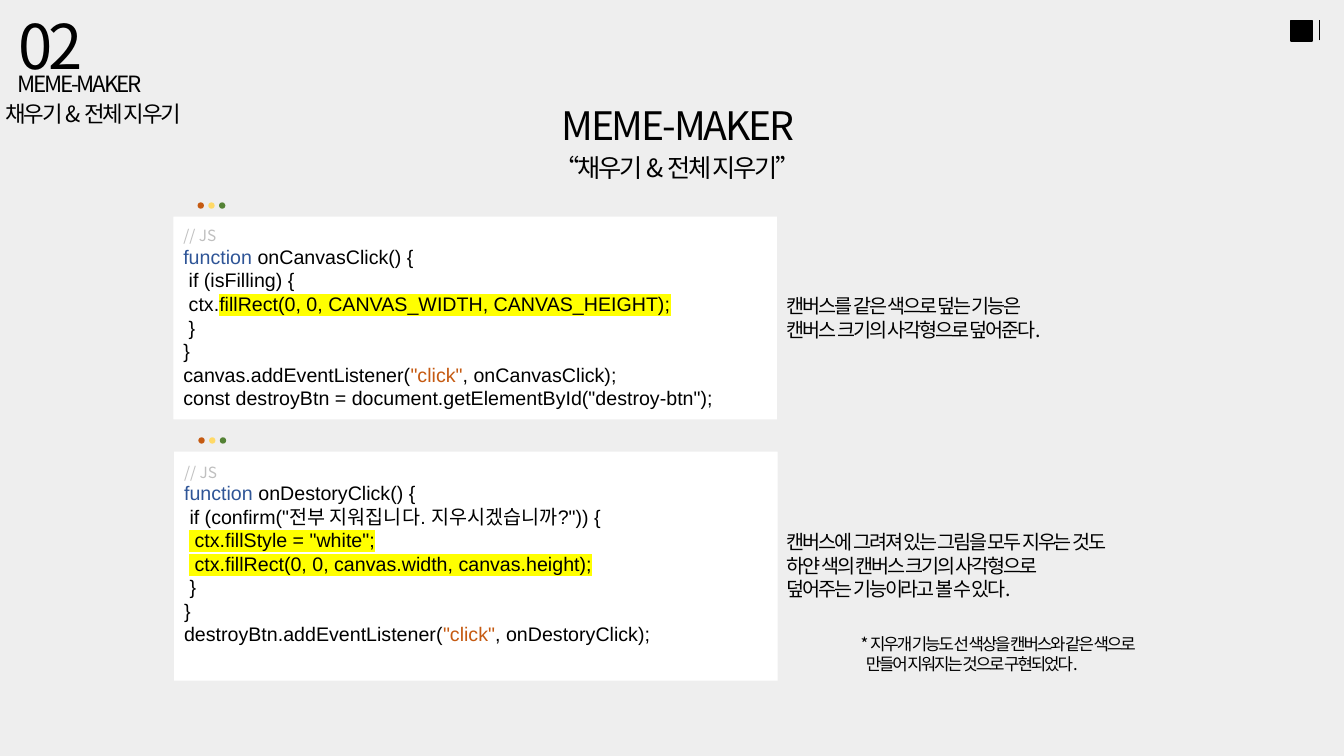
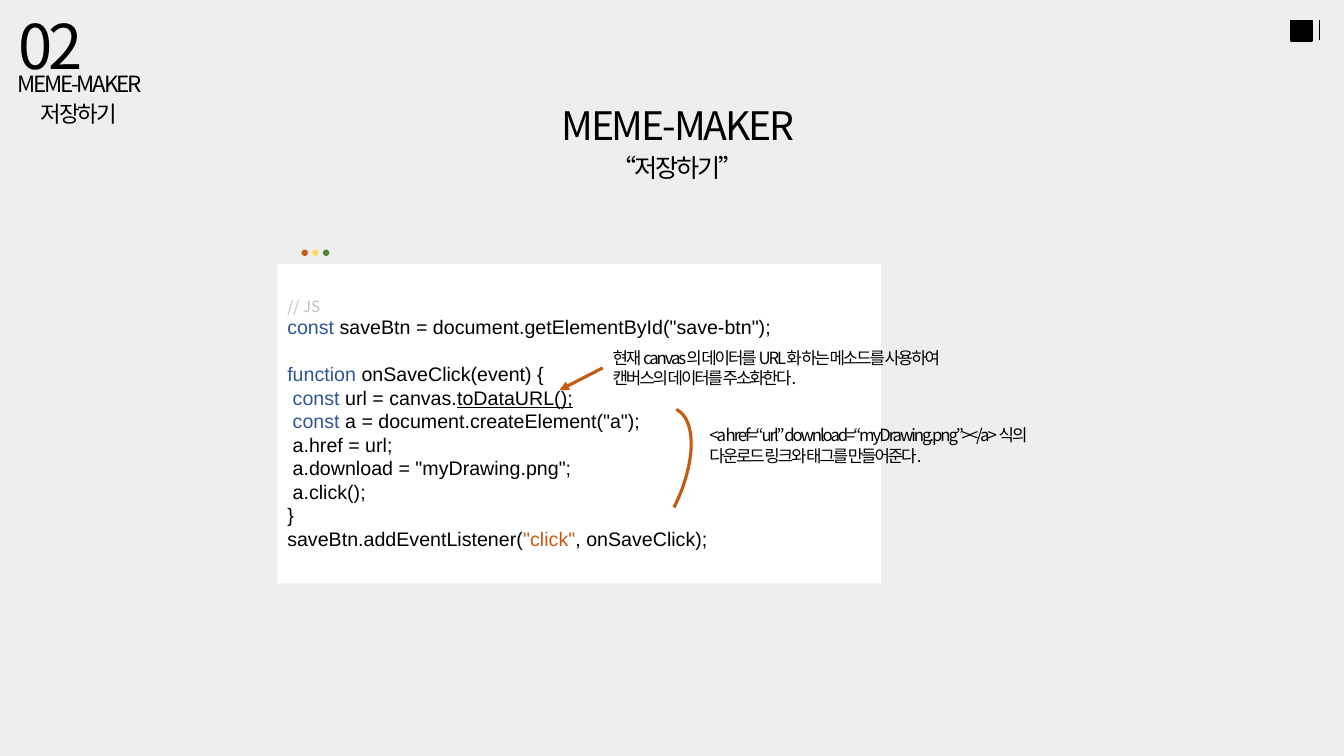
import pptx
import pptx.util
import pptx.dml.color
import pptx.enum.shapes
import pptx.enum.text
import pptx.oxml.ns
import lxml.etree
from dataclasses import dataclass

Cm, Pt = pptx.util.Cm, pptx.util.Pt
Shape = pptx.enum.shapes.MSO_SHAPE
Align = pptx.enum.text.PP_ALIGN
Anchor = pptx.enum.text.MSO_ANCHOR


@dataclass(frozen=True)
class Theme:
    back: str = "EEEEEE"
    ink: str = "000000"
    card: str = "FFFFFF"
    gray: str = "BFBFBF"
    blue: str = "2F5597"
    rust: str = "C55A11"
    gold: str = "FFD966"
    green: str = "548235"
    mark: str = "FFFF00"
    sans: str = "Noto Sans CJK KR"
    mono: str = "Arial"
    number: int = 44
    title: int = 28
    lead: int = 20
    sub: int = 18
    head: int = 16
    code: int = 14
    small: int = 12
    tag: int = 11
    tight: float = -1.5
    line: float = 1.2       # line height of body text, in ems
    tall: float = 1.28      # line height of headings, in ems


T = Theme()

# Content: a code line is a list of (text, style) runs
TITLE = "MEME-MAKER"
JS = [("// JS", "tag")]
CLICK = ('"click"', "str")

SLIDES = [
    {
        "name": "채우기 & 전체 지우기", "shift": 0.86,
        "cards": [
            {"at": (4.37, 5.46, 15.21, 5.11), "lines": [
                JS,
                [("function ", "key"), ("onCanvasClick() {", "code")],
                [(" if (isFilling) {", "code")],
                [(" ctx.", "code"),
                 ("fillRect(0, 0, CANVAS_WIDTH, CANVAS_HEIGHT);", "mark")],
                [(" }", "code")],
                [("}", "code")],
                [("canvas.addEventListener(", "code"), CLICK,
                 (", onCanvasClick);", "code")],
                [('const destroyBtn = document.getElementById("destroy-btn");',
                  "code")],
            ]},
            {"at": (4.39, 11.38, 15.21, 5.77), "foot": 0.72,
             "indent": {3: 0.13, 4: 0.13}, "lines": [
                JS,
                [("function ", "key"), ("onDestoryClick() {", "code")],
                [(' if (confirm("전부 지워집니다. 지우시겠습니까?")) {', "code")],
                [(' ctx.fillStyle = "white";', "mark")],
                [(" ctx.fillRect(0, 0, canvas.width, canvas.height);", "mark")],
                [(" }", "code")],
                [("}", "code")],
                [("destroyBtn.addEventListener(", "code"), CLICK,
                 (", onDestoryClick);", "code")],
            ]},
        ],
        "notes": [
            {"at": (19.58, 7.29, 10.06, 1.45), "style": "note", "lines": [
                "캔버스를 같은 색으로 덮는 기능은",
                "캔버스 크기의 사각형으로 덮어준다."]},
            {"at": (19.58, 13.23, 10.06, 2.06), "style": "note", "lines": [
                "캔버스에 그려져 있는 그림을 모두 지우는 것도",
                "하얀 색의 캔버스 크기의 사각형으로",
                "덮어주는 기능이라고 볼 수 있다."]},
            {"at": (21.44, 15.85, 10.06, 1.27), "style": "small",
             "indent": {1: 0.13}, "lines": [
                "* 지우개 기능도 선 색상을 캔버스와 같은 색으로",
                "만들어 지워지는 것으로 구현되었다."]},
        ],
    },
    {
        "name": "저장하기", "shift": 0.13,
        "cards": [
            {"at": (6.99, 6.65, 15.21, 8.05), "gaps": {2}, "lines": [
                JS,
                [("const ", "key"),
                 ('saveBtn = document.getElementById("save-btn");', "code")],
                [("function ", "key"), ("onSaveClick(event) {", "code")],
                [(" ", "code"), ("const ", "key"), ("url = canvas.", "code"),
                 ("toDataURL();", "under")],
                [(" ", "code"), ("const", "key"),
                 (' a = document.createElement("a");', "code")],
                [(" a.href = url;", "code")],
                [(' a.download = "myDrawing.png";', "code")],
                [(" a.click();", "code")],
                [("}", "code")],
                [("saveBtn.addEventListener(", "code"), CLICK,
                 (", onSaveClick);", "code")],
            ]},
        ],
        "notes": [
            {"at": (15.19, 8.64, 11.96, 1.27), "style": "small", "lines": [
                "현재 canvas의 데이터를 URL화 하는 메소드를 사용하여",
                "캔버스의 데이터를 주소화한다."]},
            {"at": (17.63, 10.59, 11.96, 1.27), "style": "small", "lines": [
                "<a href=“url” download=“myDrawing.png”></a> 식의",
                "다운로드 링크와 태그를 만들어준다."]},
        ],
        "arc": (14.99, 10.08, 2.11, 4.47),
        "arrow": (15.19, 9.27, 14.1, 9.83),
    },
]

# Text styles
CODE = {"size": T.code, "face": T.mono}
SANS = {"face": T.sans, "track": T.tight}
STYLES = {
    "tag": {"size": T.tag, "face": T.sans, "color": T.gray},
    "code": CODE,
    "key": {**CODE, "color": T.blue},
    "str": {**CODE, "color": T.rust},
    "mark": {**CODE, "mark": T.mark},
    "under": {**CODE, "under": True},
    "note": {**SANS, "size": T.code},
    "small": {**SANS, "size": T.small},
    "title": {**SANS, "size": T.title},
    "sub": {**SANS, "size": T.sub},
    "lead": {**SANS, "size": T.lead},
    "head": {**SANS, "size": T.head},
    "number": {"face": T.sans, "size": T.number, "track": -3},
}


def rgb(code):
    return pptx.dml.color.RGBColor.from_string(code)


def child(node, tag, **attrs):
    return lxml.etree.SubElement(node, pptx.oxml.ns.qn(tag), attrs)


# Text
def add_run(para, text, style):
    look = STYLES[style]
    run = para.add_run()
    run.text = text
    font, props = run.font, run._r.get_or_add_rPr()
    font.size = Pt(look["size"])
    font.color.rgb = rgb(look.get("color", T.ink))
    if "mark" in look:
        child(child(props, "a:highlight"), "a:srgbClr", val=look["mark"])
    font.name = look["face"]
    child(props, "a:ea", typeface=T.sans)
    if "under" in look:
        font.underline = True
    if "track" in look:
        props.set("spc", str(int(look["track"] * 100)))


def write(shape, lines, align=Align.LEFT, ratio=T.line, indent=None, gaps=()):
    frame = shape.text_frame
    frame.word_wrap = True
    for i, runs in enumerate(lines):
        para = frame.add_paragraph() if i else frame.paragraphs[0]
        para.alignment = align
        size = max(STYLES[style]["size"] for _, style in runs)
        para.line_spacing = Pt(size * ratio)
        if i in gaps:
            para.space_before = Pt(size * ratio)
        if indent and i in indent:
            para._p.get_or_add_pPr().set("marL", str(Cm(indent[i])))
        for text, style in runs:
            add_run(para, text, style)
    return frame


def add_text(slide, at, lines, **opts):
    box = slide.shapes.add_textbox(*map(Cm, at))
    write(box, lines, **opts)
    return box


# Shapes
def add_form(slide, kind, at, fill):
    form = slide.shapes.add_shape(kind, *map(Cm, at))
    form.shadow.inherit = False
    form.fill.solid()
    form.fill.fore_color.rgb = rgb(fill)
    form.line.fill.background()
    return form


def add_line(slide, ends, color, width):
    line = slide.shapes.add_connector(
        pptx.enum.shapes.MSO_CONNECTOR.STRAIGHT, *map(Cm, ends))
    line.line.color.rgb = rgb(color)
    line.line.width = Pt(width)
    child(line._element.spPr, "a:effectLst")
    return line


# Parts that each slide shares
def add_frame(slide, name, shift):
    box = add_form(slide, Shape.RECTANGLE, (32.54, 0.51, 0.53, 0.53), T.ink)
    box.line.color.rgb = rgb(T.ink)
    box.line.width = Pt(1)
    add_line(slide, (33.25, 1.02, 33.25, 0.51), T.ink, 0.5)

    mid = {"align": Align.CENTER, "ratio": T.tall}
    add_text(slide, (13.44, 2.36, 7.29, 1.45), [[(TITLE, "title")]], **mid)
    add_text(slide, (10.64, 3.66, 12.88, 1.02), [[(f"“{name}”", "sub")]], **mid)
    add_text(slide, (-2.34, 1.45, 8.53, 1.8),
             [[(" ", "lead"), (TITLE, "head")], [(name, "head")]],
             indent={1: shift}, **mid)
    num = add_text(slide, (0.89, -0.74, 2.39, 3.76), [[("02", "number")]],
                   ratio=T.tall)
    num.rotation = 90
    num.text_frame._txBody.bodyPr.set("vert", "vert270")


def add_card(slide, at, lines, foot=0.13, **opts):
    card = add_form(slide, Shape.RECTANGLE, at, T.card)
    frame = write(card, lines, **opts)
    frame.vertical_anchor = Anchor.MIDDLE
    frame.margin_bottom = Cm(foot)
    for i, color in enumerate((T.rust, T.gold, T.green)):
        spot = (at[0] + 0.61 + i * 0.27, at[1] - 0.36, 0.16, 0.16)
        add_form(slide, Shape.OVAL, spot, color)


def add_arc(slide, at):
    arc = add_form(slide, Shape.ARC, at, T.rust)
    arc.fill.background()
    arc.line.color.rgb = rgb(T.rust)
    arc.line.width = Pt(2.25)
    arc.rotation = 26.6


def add_arrow(slide, ends):
    arrow = add_line(slide, ends, T.rust, 2.25)
    child(arrow.line._get_or_add_ln(), "a:tailEnd", type="triangle")


def main():
    deck = pptx.Presentation()
    deck.slide_width, deck.slide_height = Cm(33.87), Cm(19.05)
    back = deck.slide_master.background.fill
    back.solid()
    back.fore_color.rgb = rgb(T.back)
    for data in SLIDES:
        slide = deck.slides.add_slide(deck.slide_layouts[6])
        add_frame(slide, data["name"], data["shift"])
        for card in data["cards"]:
            add_card(slide, **card)
        for note in data["notes"]:
            lines = [[(text, note["style"])] for text in note["lines"]]
            add_text(slide, note["at"], lines, indent=note.get("indent"))
        if "arc" in data:
            add_arc(slide, data["arc"])
        if "arrow" in data:
            add_arrow(slide, data["arrow"])
    deck.save("out.pptx")


if __name__ == "__main__":
    main()
